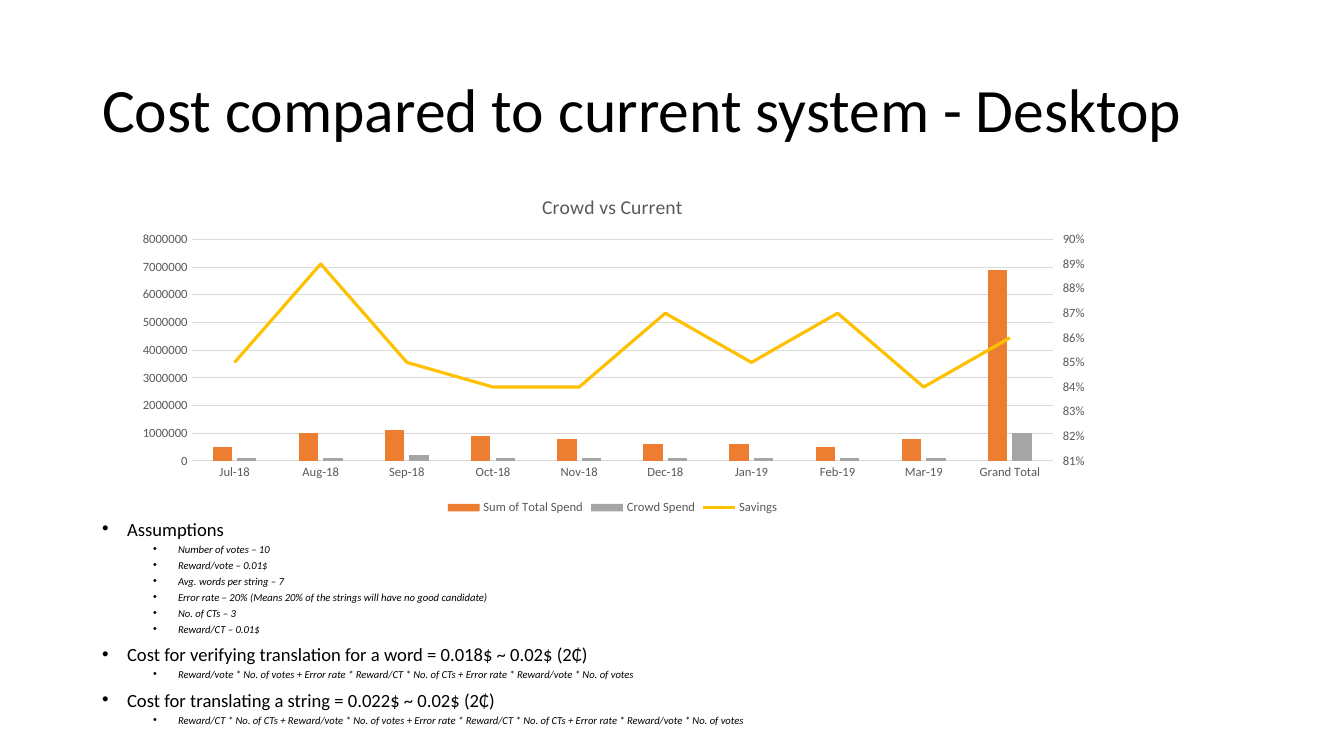
from copy import deepcopy

from lxml import etree
from pptx import Presentation
from pptx import util as u
from pptx.chart.axis import ValueAxis
from pptx.chart.data import CategoryChartData
from pptx.dml.color import RGBColor
from pptx.enum import chart as ch
from pptx.enum import text
from pptx.oxml import parse_xml
from pptx.oxml.ns import nsdecls, qn

# Content
TITLE = "Cost compared to current system - Desktop"
BULLETS = [
    ("Assumptions", [
        "Number of votes – 10",
        "Reward/vote – 0.01$",
        "Avg. words per string – 7",
        "Error rate – 20% (Means 20% of the strings will have no good candidate)",
        "No. of CTs – 3",
        "Reward/CT – 0.01$",
    ]),
    ("Cost for verifying translation for a word = 0.018$ ~ 0.02$ (2₵)", [
        "Reward/vote * No. of votes + Error rate * Reward/CT * No. of CTs"
        " + Error rate * Reward/vote * No. of votes",
    ]),
    ("Cost for translating a string = 0.022$ ~ 0.02$ (2₵)", [
        "Reward/CT * No. of CTs + Reward/vote * No. of votes"
        " + Error rate * Reward/CT * No. of CTs + Error rate * Reward/vote * No. of votes",
    ]),
]
CHART_TITLE = "Crowd vs Current"
MONTHS = ["Jul-18", "Aug-18", "Sep-18", "Oct-18", "Nov-18",
          "Dec-18", "Jan-19", "Feb-19", "Mar-19", "Grand Total"]
TOTAL_SPEND = [500000, 1000000, 1100000, 900000, 800000,
               600000, 600000, 500000, 800000, 6900000]
CROWD_SPEND = [100000, 100000, 200000, 100000, 100000,
               100000, 100000, 100000, 100000, 1000000]
SAVINGS = [0.85, 0.89, 0.85, 0.84, 0.84, 0.87, 0.85, 0.87, 0.84, 0.86]

# Format values
BLACK = RGBColor(0x00, 0x00, 0x00)
GRAY = RGBColor(0x59, 0x59, 0x59)
GRID = RGBColor(0xD9, 0xD9, 0xD9)
ORANGE = RGBColor(0xED, 0x7D, 0x31)
SILVER = RGBColor(0xA5, 0xA5, 0xA5)
GOLD = RGBColor(0xFF, 0xC0, 0x00)
FONT = "Calibri"
LEVELS = [
    {"size": 13.3, "italic": False, "before": 10, "indent": 25},
    {"size": 7.6, "italic": True, "before": 5, "indent": 76},
]
HANGING = 25

# Places in px: left, top, width, height
SCALE = 914400 / 100.8
SLIDE_SIZE = (1344, 756)
TITLE_BOX = (92, 40, 1159, 146)
BODY_BOX = (92, 519, 1159, 220)
CHART_BOX = (123, 178, 979, 341)
PLOT_BOX = (191, 240, 860, 223)


def px(length):
    return u.Emu(round(length * SCALE))


def set_all(target, values):
    for name, value in values.items():
        setattr(target, name, value)


def place(shape, box):
    set_all(shape, dict(zip(("left", "top", "width", "height"), map(px, box))))


def set_font(font, size, color, italic=False):
    set_all(font, {"name": FONT, "size": u.Pt(size), "bold": False, "italic": italic})
    font.color.rgb = color


def set_line(line, color, width):
    line.color.rgb = color
    line.width = u.Pt(width)


def add_bullet(paragraph, words, level):
    style = LEVELS[level]
    set_all(paragraph, {"level": level, "line_spacing": 0.7,
                        "space_before": u.Pt(style["before"]), "space_after": u.Pt(0)})
    run = paragraph.add_run()
    run.text = words
    set_font(run.font, style["size"], BLACK, style["italic"])
    properties = paragraph._p.get_or_add_pPr()
    properties.set("marL", str(px(style["indent"])))
    properties.set("indent", str(-px(HANGING)))
    etree.SubElement(properties, qn("a:buFont")).set("typeface", "Arial")
    etree.SubElement(properties, qn("a:buChar")).set("char", "•")


def move_savings_to_right_axis(chart):
    """Turn the third series into a line on its own pair of axes."""
    plot_area = chart._chartSpace.chart.plotArea
    bars = plot_area.find(qn("c:barChart"))
    series = bars.findall(qn("c:ser"))[2]
    for bar_setting in series.findall(qn("c:invertIfNegative")):
        series.remove(bar_setting)
    line_chart = parse_xml(
        f'<c:lineChart {nsdecls("c")}><c:grouping val="standard"/><c:varyColors val="0"/>'
        '<c:marker val="1"/><c:axId val="101"/><c:axId val="102"/></c:lineChart>')
    line_chart.insert(2, series)
    bars.addnext(line_chart)

    left_axis = plot_area.find(qn("c:valAx"))
    right_axis = deepcopy(left_axis)
    hidden_axis = deepcopy(plot_area.find(qn("c:catAx")))
    left_axis.addnext(hidden_axis)
    hidden_axis.addnext(right_axis)
    for axis, own, other in ((hidden_axis, "101", "102"), (right_axis, "102", "101")):
        axis.find(qn("c:axId")).set("val", own)
        axis.find(qn("c:crossAx")).set("val", other)
    hidden_axis.find(qn("c:delete")).set("val", "1")
    right_axis.find(qn("c:axPos")).set("val", "r")
    right_axis.find(qn("c:crosses")).set("val", "max")
    return ValueAxis(right_axis)


def set_plot_box(chart):
    left, top, width, height = CHART_BOX
    x, y, w, h = PLOT_BOX
    shares = {"x": (x - left) / width, "y": (y - top) / height,
              "w": w / width, "h": h / height}
    parts = "".join(f'<c:{key} val="{share:.2f}"/>' for key, share in shares.items())
    layout = parse_xml(
        f'<c:layout {nsdecls("c")}><c:manualLayout><c:layoutTarget val="inner"/>'
        f'<c:xMode val="edge"/><c:yMode val="edge"/>{parts}</c:manualLayout></c:layout>')
    plot_area = chart._chartSpace.chart.plotArea
    for old in plot_area.findall(qn("c:layout")):
        plot_area.remove(old)
    plot_area.insert(0, layout)


def add_spend_chart(slide):
    data = CategoryChartData()
    data.categories = MONTHS
    data.add_series("Sum of Total Spend", TOTAL_SPEND)
    data.add_series("Crowd Spend", CROWD_SPEND)
    data.add_series("Savings", SAVINGS, number_format="0%")
    chart = slide.shapes.add_chart(
        ch.XL_CHART_TYPE.COLUMN_CLUSTERED, *map(px, CHART_BOX), data).chart
    set_font(chart.font, 10, BLACK)

    # Title and legend
    chart.has_title = True
    chart.chart_title.text_frame.text = CHART_TITLE
    set_font(chart.chart_title.text_frame.paragraphs[0].runs[0].font, 14, GRAY)
    chart.has_legend = True
    set_all(chart.legend, {"position": ch.XL_LEGEND_POSITION.BOTTOM,
                           "include_in_layout": False})
    set_font(chart.legend.font, 9, GRAY)

    # Axes
    months, spend = chart.category_axis, chart.value_axis
    for axis in (months, spend):
        axis.major_tick_mark = axis.minor_tick_mark = ch.XL_TICK_MARK.NONE
        set_font(axis.tick_labels.font, 9, GRAY)
    set_line(months.format.line, GRID, 0.75)
    spend.format.line.fill.background()
    percent = move_savings_to_right_axis(chart)
    for axis, low, high, step, code in ((percent, 0.81, 0.9, 0.01, "0%"),
                                        (spend, 0, 8000000, 1000000, "0")):
        set_all(axis, {"minimum_scale": low, "maximum_scale": high, "major_unit": step})
        set_all(axis.tick_labels, {"number_format": code, "number_format_is_linked": False})
    set_all(percent, {"has_major_gridlines": False,
                      "major_tick_mark": ch.XL_TICK_MARK.OUTSIDE})
    set_line(spend.major_gridlines.format.line, GRID, 0.75)

    # Series
    columns, lines = chart.plots
    set_all(columns, {"gap_width": 219, "overlap": -27, "vary_by_categories": False})
    for series, color in zip(columns.series, (ORANGE, SILVER)):
        series.format.fill.solid()
        series.format.fill.fore_color.rgb = color
    savings = lines.series[0]
    savings.smooth = False
    savings.marker.style = ch.XL_MARKER_STYLE.NONE
    set_line(savings.format.line, GOLD, 2.25)
    set_plot_box(chart)


def main():
    presentation = Presentation()
    presentation.slide_width, presentation.slide_height = map(px, SLIDE_SIZE)
    slide = presentation.slides.add_slide(presentation.slide_layouts[1])
    title, body = slide.placeholders

    # Title
    place(title, TITLE_BOX)
    frame = title.text_frame
    frame.text = TITLE
    set_all(frame, {"auto_size": text.MSO_AUTO_SIZE.NONE,
                    "vertical_anchor": text.MSO_ANCHOR.MIDDLE})
    set_all(frame.paragraphs[0], {"alignment": text.PP_ALIGN.LEFT, "line_spacing": 0.9})
    set_font(frame.paragraphs[0].runs[0].font, 44, BLACK)

    # Assumptions and costs
    place(body, BODY_BOX)
    frame = body.text_frame
    frame.auto_size = text.MSO_AUTO_SIZE.NONE
    lines = [line for head, details in BULLETS
             for line in [(head, 0)] + [(detail, 1) for detail in details]]
    for number, (words, level) in enumerate(lines):
        add_bullet(frame.add_paragraph() if number else frame.paragraphs[0], words, level)

    add_spend_chart(slide)
    presentation.save("out.pptx")


if __name__ == "__main__":
    main()
